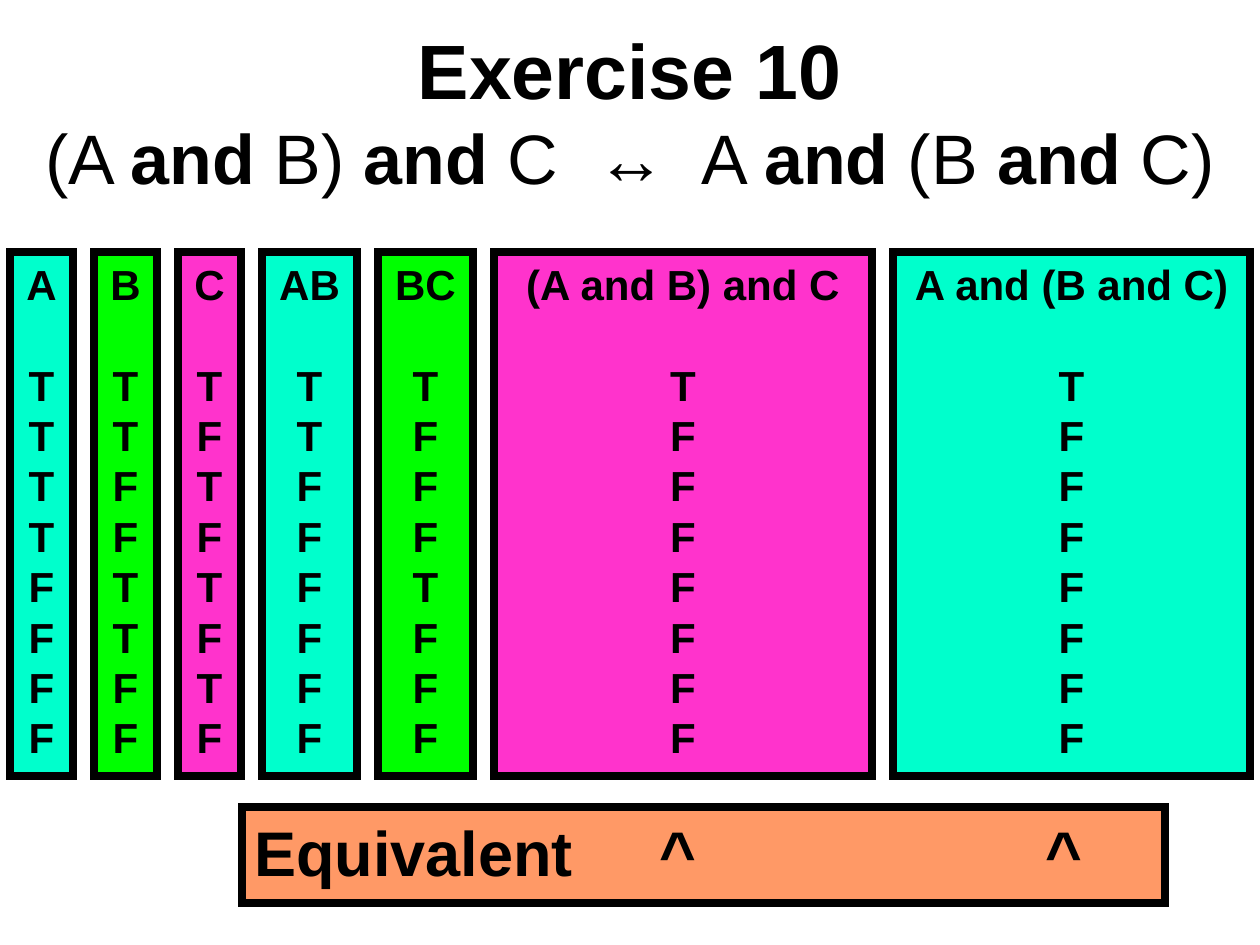
from dataclasses import dataclass

from lxml import etree
from pptx import Presentation
from pptx.dml.color import RGBColor
from pptx.enum.shapes import MSO_SHAPE
from pptx.enum.text import MSO_ANCHOR, PP_ALIGN
from pptx.oxml.ns import qn
from pptx.util import Emu, Pt

RECTANGLE = MSO_SHAPE.RECTANGLE
CENTER, LEFT = PP_ALIGN.CENTER, PP_ALIGN.LEFT
TOP, MIDDLE = MSO_ANCHOR.TOP, MSO_ANCHOR.MIDDLE

EMU_PER_PX = 914400 / 126
FONT = "Arial"
COLORS = {
    "ink": "000000",
    "aqua": "00FFCC",
    "green": "00FF00",
    "pink": "FF33CC",
    "orange": "FF9966",
}
COLUMN_LEFT, COLUMN_TOP, COLUMN_HEIGHT, COLUMN_GAP = 10, 252, 524, 21
CARET_CENTERS = (424, 810)


@dataclass(frozen=True)
class TruthColumn:
    heading: str
    values: str
    width: int
    color: str


COLUMNS = (
    TruthColumn("A", "TTTTFFFF", 63, "aqua"),
    TruthColumn("B", "TTFFTTFF", 63, "green"),
    TruthColumn("C", "TFTFTFTF", 63, "pink"),
    TruthColumn("AB", "TTFFFFFF", 95, "aqua"),
    TruthColumn("BC", "TFFFTFFF", 95, "green"),
    TruthColumn("(A and B) and C", "TFFFFFFF", 378, "pink"),
    TruthColumn("A and (B and C)", "TFFFFFFF", 357, "aqua"),
)
FORMULA = ("(A ", "and ", "B) ", "and ", "C  ↔  A ", "and ", "(B ", "and ", "C)")


def px(length: int) -> Emu:
    return Emu(round(length * EMU_PER_PX))


def rgb(name: str) -> RGBColor:
    return RGBColor.from_string(COLORS[name])


def style(span, size: int, bold: bool = True) -> None:
    span.font.name = FONT
    span.font.size = Pt(size)
    span.font.bold = bold
    span.font.color.rgb = rgb("ink")


def add_panel(page, left: int, top: int, width: int, height: int, color: str):
    box = page.shapes.add_shape(RECTANGLE, px(left), px(top), px(width), px(height))
    box.shadow.inherit = False
    box.fill.solid()
    box.fill.fore_color.rgb = rgb(color)
    box.line.color.rgb = rgb("ink")
    box.line.width = Pt(4.5)
    outline = box._element.spPr.find(qn("a:ln"))
    etree.SubElement(outline, qn("a:miter"), lim="800000")
    frame = box.text_frame
    frame.word_wrap = True
    frame.vertical_anchor = TOP
    return frame


def add_title(page) -> None:
    box = page.shapes.add_textbox(px(0), px(32), px(1260), px(157))
    frame = box.text_frame
    frame.word_wrap = True
    frame.vertical_anchor = MIDDLE
    frame.text = "Exercise 10"
    heading = frame.paragraphs[0]
    heading.alignment = CENTER
    style(heading.runs[0], 44)
    para = frame.add_paragraph()
    para.alignment = CENTER
    for index, words in enumerate(FORMULA):
        span = para.add_run()
        span.text = words
        style(span, 40, bold=index % 2 == 1)


def add_column(page, column: TruthColumn, left: int) -> None:
    frame = add_panel(page, left, COLUMN_TOP, column.width, COLUMN_HEIGHT, column.color)
    frame.text = "\n".join((column.heading, *column.values))
    for para in frame.paragraphs:
        para.alignment = CENTER
        style(para.runs[0], 24)
    frame.paragraphs[1].space_before = Pt(28.8)


def add_verdict(page) -> None:
    frame = add_panel(page, 242, 807, 923, 96, "orange")
    frame.text = "Equivalent\t^\t^"
    para = frame.paragraphs[0]
    para.alignment = LEFT
    tabs = etree.SubElement(para._p.get_or_add_pPr(), qn("a:tabLst"))
    for center in CARET_CENTERS:
        etree.SubElement(tabs, qn("a:tab"), pos=str(px(center)), algn="ctr")
    for span in para.runs:
        style(span, 36)


def main() -> None:
    deck = Presentation()
    deck.slide_width, deck.slide_height = px(1260), px(945)
    page = deck.slides.add_slide(deck.slide_layouts[6])
    add_title(page)
    left = COLUMN_LEFT
    for column in COLUMNS:
        add_column(page, column, left)
        left += column.width + COLUMN_GAP
    add_verdict(page)
    deck.save("out.pptx")


if __name__ == "__main__":
    main()
